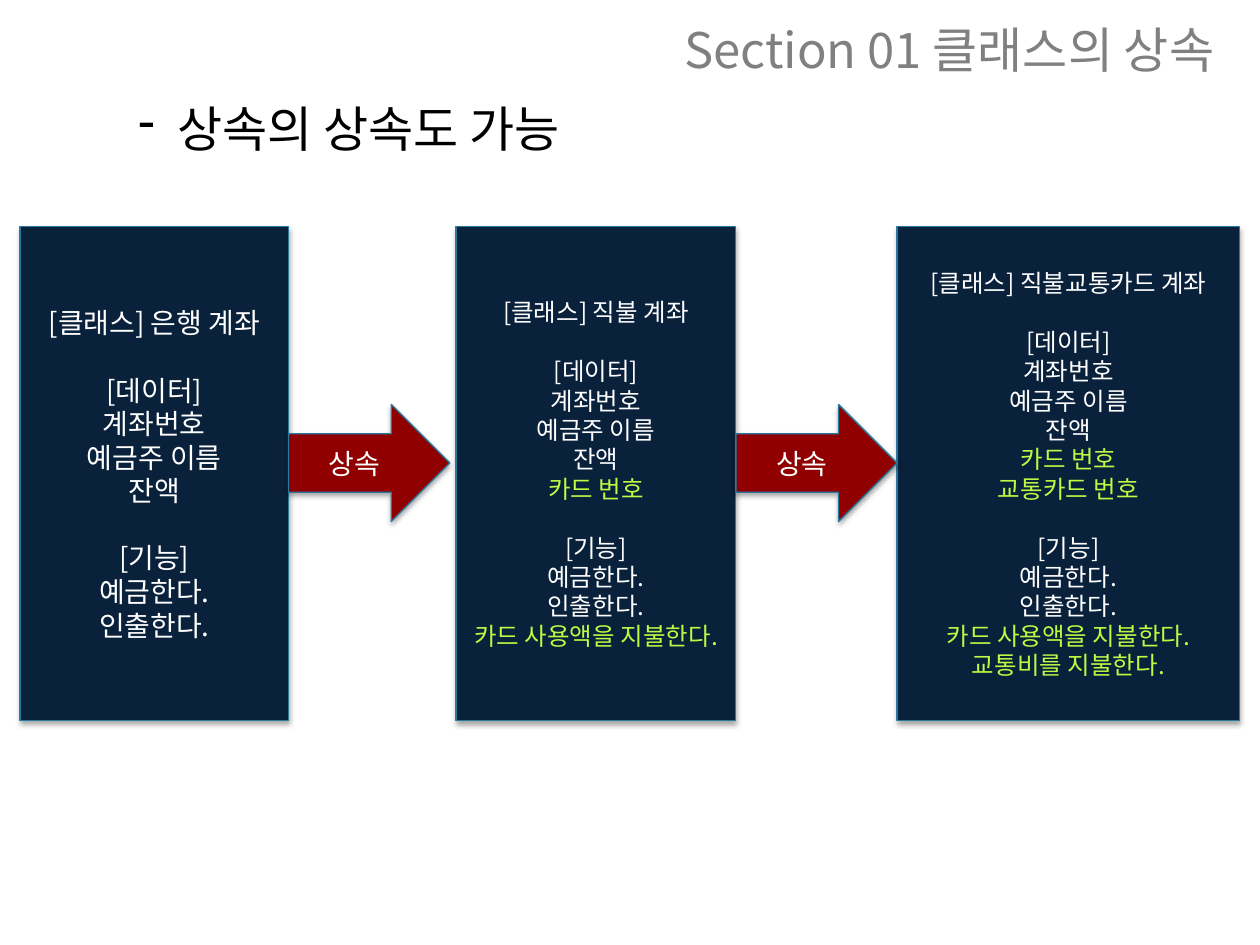
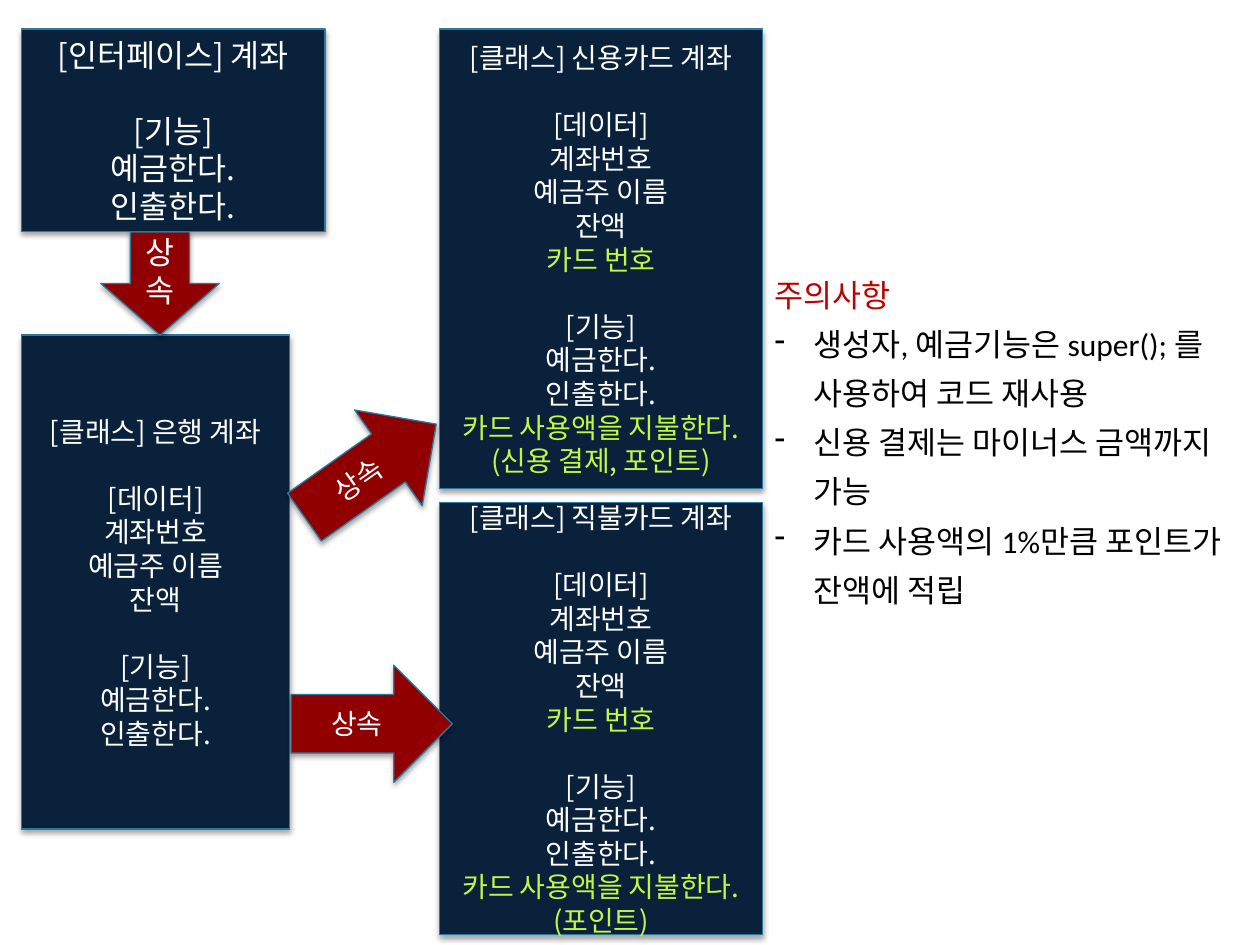
from lxml import etree
from pptx import Presentation
from pptx.dml.color import RGBColor
from pptx.enum.shapes import MSO_SHAPE
from pptx.enum.text import MSO_ANCHOR, PP_ALIGN
from pptx.oxml.ns import qn
from pptx.util import Inches, Pt

RECT = MSO_SHAPE.RECTANGLE
RIGHT = MSO_SHAPE.RIGHT_ARROW
DOWN = MSO_SHAPE.DOWN_ARROW
CENTER, LEFT = PP_ALIGN.CENTER, PP_ALIGN.LEFT
MIDDLE, TOP = MSO_ANCHOR.MIDDLE, MSO_ANCHOR.TOP

NAVY, RED, EDGE = "09213B", "900000", "287A9E"
WHITE, LIME, BLACK = "FFFFFF", "BFF944", "000000"
GRAY, ALERT = "808080", "C00000"
NOTO, BODY = "Noto Sans CJK KR", "Calibri"
LEAD = 1.2

DATA = ["계좌번호", "예금주 이름", "잔액"]
ACTS = ["예금한다.", "인출한다."]
PAY = "카드 사용액을 지불한다."


def paint(color):
    return RGBColor.from_string(color)


def add_shade(shape):
    shape.shadow.inherit = False
    effects = shape._element.spPr.find(qn("a:effectLst"))
    outer = etree.SubElement(effects, qn("a:outerShdw"), blurRad=str(Pt(3.1)),
                             dist=str(Pt(1.8)), dir="5400000", rotWithShape="0")
    color = etree.SubElement(outer, qn("a:srgbClr"), val=BLACK)
    etree.SubElement(color, qn("a:alpha"), val="35000")


def add_run(para, text, size, color, font):
    run = para.add_run()
    run.text = text
    run.font.size = Pt(size)
    run.font.name = font
    run.font.color.rgb = paint(color)
    east = etree.SubElement(run._r.get_or_add_rPr(), qn("a:ea"))
    east.set("typeface", NOTO)


def add_line(frame, text, size, color, font=NOTO, align=CENTER, lead=LEAD, gap=0):
    first = frame.paragraphs[0]
    para = frame.add_paragraph() if first.runs else first
    para.alignment = align
    para.line_spacing = Pt(round(size * lead, 1))
    para.space_before = Pt(round(gap, 1))
    add_run(para, text, size, color, font)
    return para


def add_dash(para, left, hang):
    props = para._p.get_or_add_pPr()
    props.set("marL", str(Inches(left)))
    props.set("indent", str(Inches(-hang)))
    etree.SubElement(props, qn("a:buChar"), char="-")


def add_text(slide, box, anchor=TOP):
    frame = slide.shapes.add_textbox(*map(Inches, box)).text_frame
    frame.word_wrap = True
    frame.vertical_anchor = anchor
    return frame


def add_block(slide, kind, box, fill):
    shape = slide.shapes.add_shape(kind, *map(Inches, box))
    shape.fill.solid()
    shape.fill.fore_color.rgb = paint(fill)
    shape.line.color.rgb = paint(EDGE)
    shape.line.width = Pt(0.75)
    add_shade(shape)
    shape.text_frame.word_wrap = True
    shape.text_frame.vertical_anchor = MIDDLE
    return shape


def add_card(slide, box, size, title, data=DATA, more=(), acts=()):
    frame = add_block(slide, RECT, box, NAVY).text_frame
    frame.margin_left = frame.margin_right = Inches(0.05)
    add_line(frame, title, size, WHITE)
    parts = [("[데이터]", data, more), ("[기능]", ACTS, acts)]
    for head, base, extra in parts:
        if not base:
            continue
        add_line(frame, head, size, WHITE, gap=size * LEAD)
        for text in base:
            add_line(frame, text, size, WHITE)
        for text in extra:
            add_line(frame, text, size, LIME)


def add_arrow(slide, left, top, kind=RIGHT, width=1.28, height=0.93, size=16, turn=0):
    shape = add_block(slide, kind, (left, top, width, height), RED)
    shape.rotation = turn
    add_line(shape.text_frame, "상속", size, WHITE, BODY)


def add_notes(slide, box, title, items):
    frame = add_text(slide, box)
    style = {"font": BODY, "align": LEFT, "lead": LEAD * 1.3}
    add_line(frame, title, 18, ALERT, **style)
    for item in items:
        add_dash(add_line(frame, item, 18, BLACK, **style), 0.31, 0.31)


def draw_chain(slide):
    title = add_text(slide, (5.07, 0, 4.93, 0.78), MIDDLE)
    add_line(title, "Section 01 클래스의 상속", 28, GRAY)
    point = add_text(slide, (0.5, 0.73, 9, 0.8))
    add_dash(add_line(point, "상속의 상속도 가능", 28, BLACK, align=LEFT), 0.81, 0.31)

    top, tall = 1.8, 3.92
    add_card(slide, (0.16, top, 2.13, tall), 16, "[클래스] 은행 계좌")
    add_card(slide, (3.62, top, 2.22, tall), 14, "[클래스] 직불 계좌",
             more=["카드 번호"], acts=[PAY])
    add_card(slide, (7.12, top, 2.72, tall), 14, "[클래스] 직불교통카드 계좌",
             more=["카드 번호", "교통카드 번호"], acts=[PAY, "교통비를 지불한다."])
    for left in (2.29, 5.84):
        add_arrow(slide, left, 3.21)


def draw_tree(slide):
    add_card(slide, (0.17, 0.23, 2.41, 1.61), 18, "[인터페이스] 계좌", data=())
    add_card(slide, (0.17, 2.66, 2.13, 3.92), 16, "[클래스] 은행 계좌")
    add_card(slide, (3.49, 0.23, 2.56, 3.65), 16, "[클래스] 신용카드 계좌",
             more=["카드 번호"], acts=[PAY, "(신용 결제, 포인트)"])
    add_card(slide, (3.49, 3.99, 2.56, 3.43), 16, "[클래스] 직불카드 계좌",
             more=["카드 번호"], acts=[PAY + " (포인트)"])
    add_arrow(slide, 0.8, 1.84, DOWN, 0.94, 0.82, 18)
    add_arrow(slide, 2.3, 3.27, turn=324.8)
    add_arrow(slide, 2.31, 5.28)
    add_notes(slide, (6.05, 2.05, 3.95, 3.63), "주의사항", [
        "생성자, 예금기능은 super(); 를 사용하여 코드 재사용",
        "신용 결제는 마이너스 금액까지 가능",
        "카드 사용액의 1%만큼 포인트가 잔액에 적립",
    ])


def main():
    deck = Presentation()
    deck.slide_width, deck.slide_height = Inches(10), Inches(7.5)
    for draw in (draw_chain, draw_tree):
        draw(deck.slides.add_slide(deck.slide_layouts[6]))
    deck.save("out.pptx")


if __name__ == "__main__":
    main()
